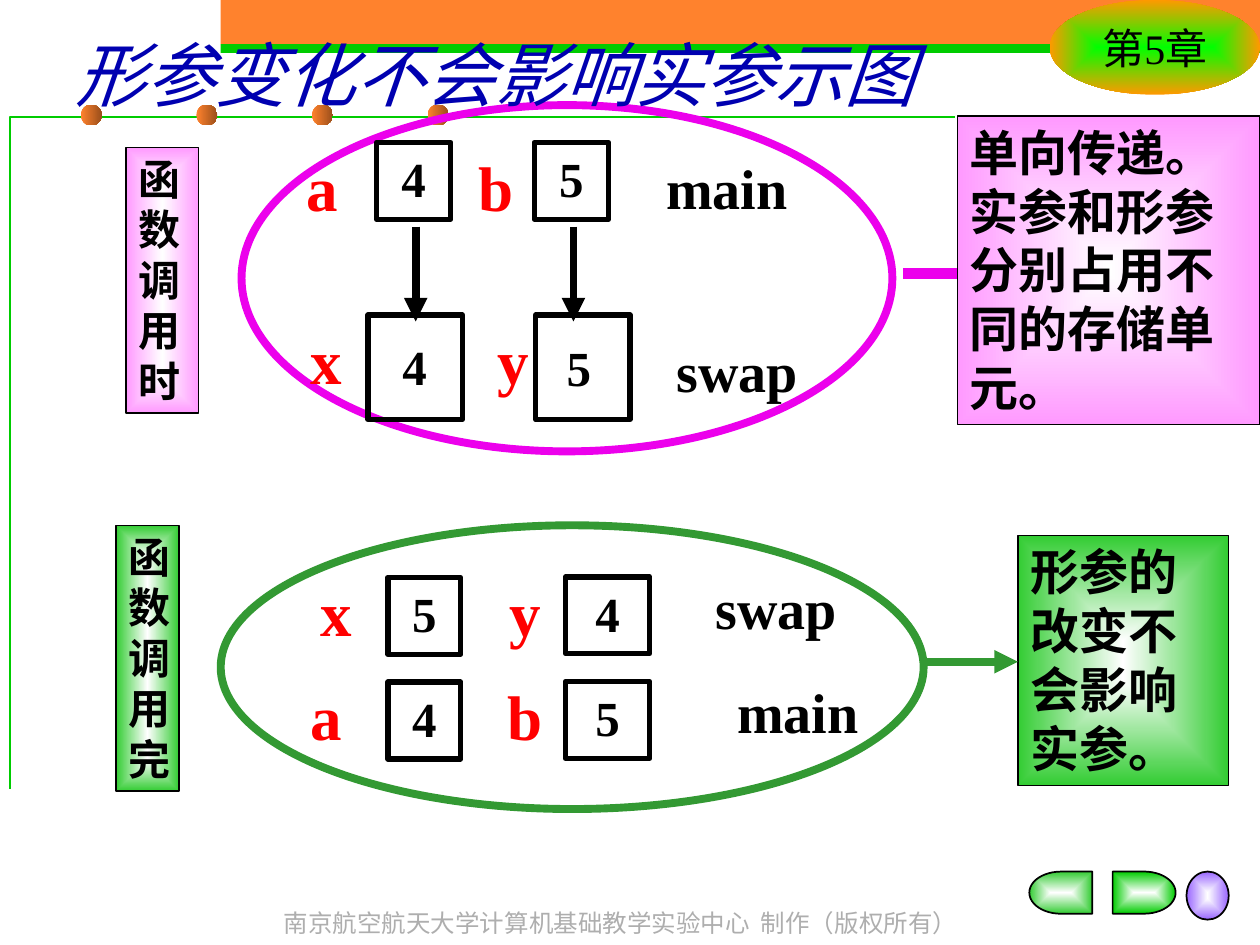
from lxml import etree
from pptx import Presentation
from pptx import util as u
from pptx.dml.color import RGBColor
from pptx.enum import shapes, text
from pptx.oxml.ns import qn

Cm, Pt = u.Cm, u.Pt
MSO = shapes.MSO_SHAPE
LEFT, CENTER, RIGHT = text.PP_ALIGN.LEFT, text.PP_ALIGN.CENTER, text.PP_ALIGN.RIGHT
SERIF = "Times New Roman"
BLACK, WHITE, RED = "000000", "FFFFFF", "FF0000"
ORANGE, PINK, MAGENTA = "FF822D", "FF99FF", "EC00EC"
LIME, GREEN, DARK_GREEN = "00CC00", "33CC33", "339933"


def rgb(value):
    return RGBColor.from_string(value)


def fill_gradient(sp, start, end, radial):
    """Blend two colours from the centre outwards, or left to right."""
    sp.fill.gradient()
    for stop, color in zip(sp.fill.gradient_stops, (start, end)):
        stop.color.rgb = rgb(color)
    sp.fill.gradient_angle = 0
    if radial:
        grad = sp._element.spPr.find(qn("a:gradFill"))
        grad.remove(grad.find(qn("a:lin")))
        shade = etree.SubElement(grad, qn("a:path"), {"path": "shape"})
        etree.SubElement(shade, qn("a:fillToRect"),
                         {side: "50000" for side in "ltrb"})


def set_line(sp, color, width):
    if color:
        sp.line.color.rgb = rgb(color)
        sp.line.width = Pt(width)
    else:
        sp.line.fill.background()


def set_text(sp, content, size, color=BLACK, align=LEFT, bold=True,
             italic=False, font=SERIF, anchor=text.MSO_ANCHOR.TOP, wrap=True):
    tf = sp.text_frame
    tf.word_wrap = wrap
    tf.auto_size = text.MSO_AUTO_SIZE.NONE
    tf.vertical_anchor = anchor
    p = tf.paragraphs[0]
    p.text = content
    p.alignment = align
    f = p.font
    f.name, f.size, f.bold, f.italic = font, Pt(size), bold, italic
    f.color.rgb = rgb(color)


def add_shape(s, kind, at, fill=None, gradient=None, radial=True,
              line=None, width=0.75):
    sp = s.shapes.add_shape(kind, *map(Cm, at))
    sp.shadow.inherit = False
    if gradient:
        fill_gradient(sp, *gradient, radial)
    elif fill:
        sp.fill.solid()
        sp.fill.fore_color.rgb = rgb(fill)
    else:
        sp.fill.background()
    set_line(sp, line, width)
    return sp


def add_label(s, content, size, at, **style):
    set_text(s.shapes.add_textbox(*map(Cm, at)), content, size, **style)


def add_variable(s, name, x, y, w, align=CENTER):
    add_label(s, name, 36, (x, y, w, 1.78), color=RED, align=align)


def add_cell(s, value, x, y, w, h=1.55):
    """Draw a memory cell, empty when there is no value."""
    sp = add_shape(s, MSO.RECTANGLE, (x, y, w, h), line=BLACK, width=3)
    if value:
        set_text(sp, value, 28, align=CENTER)


def add_function(s, name, x, y):
    add_label(s, name, 32, (x, y, 4.4, 1.6))


def add_note(s, content, size, at, color):
    sp = add_shape(s, MSO.RECTANGLE, at, gradient=(WHITE, color), line=BLACK)
    set_text(sp, content, size)


def add_arrow(s, x1, y1, x2, y2, color, width):
    c = s.shapes.add_connector(shapes.MSO_CONNECTOR.STRAIGHT,
                               Cm(x1), Cm(y1), Cm(x2), Cm(y2))
    set_line(c, color, width)
    etree.SubElement(c.line._get_or_add_ln(), qn("a:tailEnd"), {"type": "triangle"})
    etree.SubElement(c._element.spPr, qn("a:effectLst"))


def add_frame(s):
    """Draw the header band, corner rule, chapter badge, buttons and footer."""
    add_shape(s, MSO.RECTANGLE, (4.45, 0, 20.95, 0.89), fill=ORANGE)
    add_shape(s, MSO.RECTANGLE, (4.45, 0.89, 20.95, 0.18), fill=LIME)

    fb = s.shapes.build_freeform(Cm(0.2), Cm(15.9))
    fb.add_line_segments([(Cm(0.2), Cm(2.36)), (Cm(19.25), Cm(2.36))], close=False)
    rule = fb.convert_to_shape()
    rule.shadow.inherit = False
    rule.fill.background()
    set_line(rule, LIME, 0.75)
    for i in range(4):
        add_shape(s, MSO.OVAL, (1.63 + 2.33 * i, 2.11, 0.42, 0.42),
                  gradient=(ORANGE, "9B4F1B"), radial=False)

    badge = add_shape(s, MSO.OVAL, (21.16, 0, 4.24, 1.91),
                      gradient=("00FF00", "FF9900"))
    set_text(badge, "第5章", 24, align=CENTER, bold=False,
             anchor=text.MSO_ANCHOR.MIDDLE, wrap=False)

    buttons = [(MSO.FLOWCHART_DELAY, 22.43, 1.27, 0.85, LIME, 0),
               (MSO.FLOWCHART_DELAY, 20.75, 1.27, 0.85, GREEN, 180),
               (MSO.OVAL, 23.92, 0.85, 0.97, "9966FF", 0)]
    for kind, x, w, h, color, angle in buttons:
        sp = add_shape(s, kind, (x, 17.57, w, h), gradient=(WHITE, color),
                       line=BLACK, width=1)
        sp.rotation = angle
    add_label(s, "南京航空航天大学计算机基础教学实验中心  制作（版权所有）", 14,
              (4.87, 18.19, 15.29, 0.85), color="AEAEAE", align=CENTER, bold=False)


def add_title(s):
    title = s.shapes.title
    title.left, title.top, title.width, title.height = map(Cm, (1.27, 0.43, 21.59, 2.12))
    set_text(title, "形参变化不会影响实参示图", 40, color="0000B0", bold=False,
             italic=True, font="Roboto", anchor=text.MSO_ANCHOR.MIDDLE)
    s.shapes._spTree.append(title._element)


def add_call_start(s):
    for x in (8.38, 11.56):
        add_arrow(s, x, 4.57, x, 6.48, BLACK, 4.5)
    add_variable(s, "a", 5.56, 2.87, 1.5, RIGHT)
    add_cell(s, "4", 7.59, 2.87, 1.5)
    add_variable(s, "b", 9.25, 2.87, 1.5)
    add_cell(s, "5", 10.77, 2.87, 1.5)
    add_function(s, "main", 13.18, 2.97)

    add_variable(s, "x", 5.64, 6.35, 1.5, RIGHT)
    add_variable(s, "y", 9.6, 6.35, 1.5)
    for x in (7.42, 10.8):
        add_cell(s, None, x, 6.35, 1.9, 2.11)
    add_label(s, "4", 28, (7.7, 6.65, 1.32, 1.45), align=CENTER)
    add_label(s, "5", 28, (10.92, 6.68, 1.5, 1.45), align=CENTER)
    add_function(s, "swap", 13.39, 6.65)

    add_arrow(s, 18.21, 5.51, 20.12, 5.51, MAGENTA, 6)
    add_note(s, "单向传递。实参和形参分别占用不同的存储单元。", 28,
             (19.3, 2.34, 6.1, 6.22), PINK)
    add_note(s, "函数调用时", 24, (2.54, 2.97, 1.47, 5.36), PINK)


def add_call_end(s):
    rows = [("x", "5", "y", "4", "swap", 5.92, 14.17, 11.43),
            ("a", "4", "b", "5", "main", 5.72, 14.61, 13.54)]
    for var1, val1, var2, val2, function, var_x, function_x, y in rows:
        add_variable(s, var1, var_x, y, 1.7)
        add_cell(s, val1, 7.82, y + 0.21, 1.47)
        add_variable(s, var2, 9.73, y, 1.7)
        add_cell(s, val2, 11.4, y + 0.2, 1.7)
        add_function(s, function, function_x, y)

    add_note(s, "形参的改变不会影响实参。", 28, (20.52, 10.8, 4.24, 5.03), GREEN)
    add_shape(s, MSO.OVAL, (4.45, 10.59, 14.17, 5.72), line=DARK_GREEN, width=4.5)
    add_arrow(s, 18.62, 13.34, 20.52, 13.34, DARK_GREEN, 4.5)
    add_note(s, "函数调用完", 24, (2.34, 10.59, 1.27, 5.36), GREEN)


def main():
    prs = Presentation()
    prs.slide_width, prs.slide_height = Cm(25.4), Cm(19.05)
    s = prs.slides.add_slide(prs.slide_layouts[5])
    add_frame(s)
    add_shape(s, MSO.OVAL, (4.87, 2.12, 13.12, 6.98), line=MAGENTA, width=4.5)
    add_title(s)
    add_call_start(s)
    add_call_end(s)
    prs.save("out.pptx")


if __name__ == "__main__":
    main()
